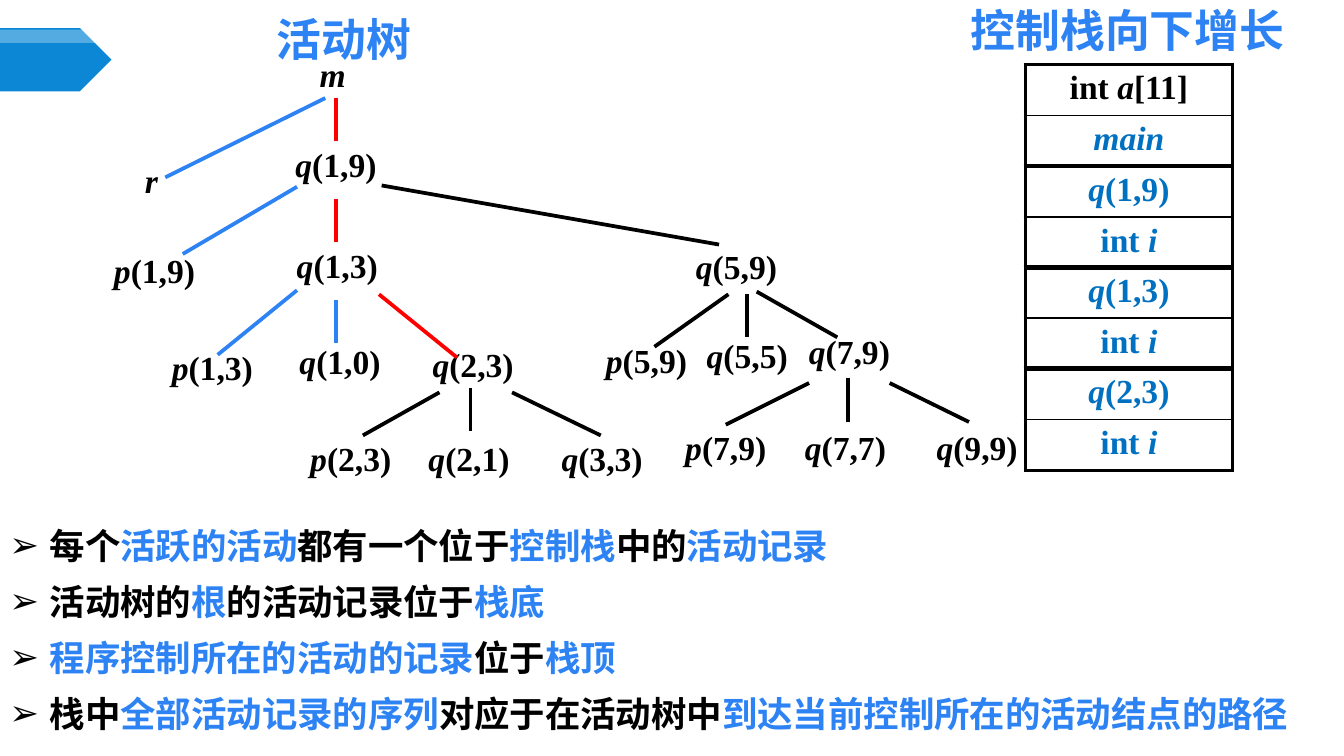
from lxml import etree
from pptx import Presentation
from pptx.dml.color import RGBColor
from pptx.enum.shapes import MSO_CONNECTOR, MSO_SHAPE
from pptx.enum.text import MSO_ANCHOR, MSO_AUTO_SIZE, PP_ALIGN
from pptx.oxml.ns import qn
from pptx.util import Inches, Pt

STRAIGHT = MSO_CONNECTOR.STRAIGHT
PENTAGON = MSO_SHAPE.PENTAGON
TOP = MSO_ANCHOR.TOP
NO_AUTOFIT = MSO_AUTO_SIZE.NONE
LEFT, CENTER = PP_ALIGN.LEFT, PP_ALIGN.CENTER

BLACK, WHITE, RED, BLUE = "000000", "FFFFFF", "FF0000", "2D83F4"
RECORD_BLUE, BANNER_BLUE = "0070C0", "0B87D6"
LATIN, CHINESE = "Times New Roman", "Noto Sans CJK SC"

TREE_TITLE = ("活动树", (1.41, 0.05, 2.3, 0.48))
STACK_TITLE = ("控制栈向下增长", (7.05, -0.02, 2.68, 0.48))

# procedure, arguments, left, top
NODES = [
    ("m", "", 2.28, 0.35),
    ("r", "", 0.98, 1.14),
    ("q", "(1,9)", 2.1, 1.02),
    ("p", "(1,9)", 0.75, 1.81),
    ("q", "(1,3)", 2.11, 1.77),
    ("q", "(5,9)", 5.08, 1.78),
    ("p", "(1,3)", 1.18, 2.53),
    ("q", "(1,0)", 2.13, 2.49),
    ("q", "(2,3)", 3.12, 2.51),
    ("p", "(5,9)", 4.41, 2.48),
    ("q", "(5,5)", 5.16, 2.44),
    ("q", "(7,9)", 5.92, 2.41),
    ("p", "(2,3)", 2.21, 3.21),
    ("q", "(2,1)", 3.09, 3.21),
    ("q", "(3,3)", 4.08, 3.21),
    ("p", "(7,9)", 5, 3.13),
    ("q", "(7,7)", 5.89, 3.13),
    ("q", "(9,9)", 6.87, 3.13),
]

# start x, start y, end x, end y
EDGES = {
    RED: [(2.5, 0.73, 2.5, 1.05), (2.5, 1.48, 2.5, 1.8), (2.82, 2.19, 3.4, 2.66)],
    BLUE: [(2.42, 0.73, 1.23, 1.32), (2.21, 1.39, 1.36, 1.89),
           (2.21, 2.16, 1.62, 2.64), (2.5, 2.23, 2.5, 2.55)],
    BLACK: [(2.84, 1.38, 5.35, 1.82),
            (3.27, 2.92, 2.7, 3.24), (3.5, 2.89, 3.5, 3.21), (3.81, 2.92, 4.47, 3.24),
            (5.42, 2.19, 4.87, 2.58), (5.56, 2.19, 5.56, 2.51), (5.63, 2.17, 6.23, 2.51),
            (6.02, 2.85, 5.4, 3.16), (6.31, 2.81, 6.31, 3.14), (6.62, 2.85, 7.21, 3.14)],
}

# Each record has two rows; each row is a list of (text, italic)
LOCAL_I = [("int ", False), ("i", True)]
RECORDS = [
    ([("int", False), (" a", True), ("[11]", False)], [("main", True)]),
    ([("q", True), ("(1,9)", False)], LOCAL_I),
    ([("q", True), ("(1,3)", False)], LOCAL_I),
    ([("q", True), ("(2,3)", False)], LOCAL_I),
]
STACK_LEFT, STACK_WIDTH, RECORD_HEIGHT = 7.63, 1.54, 0.75
FIRST_TOP, LAST_TOP = 0.48, 2.74

NOTES_BOX = (0, 3.76, 9.88, 1.76)
NOTES = [
    [("每个", BLACK), ("活跃的活动", BLUE), ("都有一个位于", BLACK), ("控制栈", BLUE),
     ("中的", BLACK), ("活动记录", BLUE)],
    [("活动树的", BLACK), ("根", BLUE), ("的活动记录位于", BLACK), ("栈底", BLUE)],
    [("程序控制所在的活动的记录", BLUE), ("位于", BLACK), ("栈顶", BLUE)],
    [("栈中", BLACK), ("全部活动记录的序列", BLUE), ("对应于在活动树中", BLACK),
     ("到达当前控制所在的活动结点的路径", BLUE)],
]


def rgb(value):
    return RGBColor.from_string(value)


def inches(values):
    return [Inches(value) for value in values]


def add_run(paragraph, text, size, color, font_name, italic=False):
    run = paragraph.add_run()
    run.text = text
    run.font.color.rgb = rgb(color)
    formats = {"size": Pt(size), "name": font_name, "bold": True, "italic": italic}
    for name, value in formats.items():
        setattr(run.font, name, value)
    latin = run.font._element.find(qn("a:latin"))
    east_asian = etree.Element(qn("a:ea"), typeface=font_name)
    latin.addnext(east_asian)


def place(shape, box):
    shape.left, shape.top, shape.width, shape.height = inches(box)


def set_frame(shape):
    """Give a text frame narrow margins, wrapping and top alignment."""
    formats = {"word_wrap": True, "auto_size": NO_AUTOFIT, "vertical_anchor": TOP,
               "margin_left": Inches(0.07), "margin_right": Inches(0.07),
               "margin_top": Inches(0.04), "margin_bottom": Inches(0.04)}
    for name, value in formats.items():
        setattr(shape.text_frame, name, value)


def write_heading(shape, text, box):
    place(shape, box)
    set_frame(shape)
    paragraph = shape.text_frame.paragraphs[0]
    paragraph.alignment = CENTER
    add_run(paragraph, text, 24, BLUE, CHINESE)


def add_banner(slide, box, color, alpha=None):
    banner = slide.shapes.add_shape(PENTAGON, *inches(box))
    banner.shadow.inherit = False
    banner.fill.solid()
    banner.fill.fore_color.rgb = rgb(color)
    banner.line.fill.background()
    if alpha:
        fill_color = banner._element.spPr.find(".//" + qn("a:srgbClr"))
        etree.SubElement(fill_color, qn("a:alpha"), val=str(alpha * 1000))


def add_node(slide, procedure, arguments, left, top):
    width, height = (0.94, 0.57) if arguments else (0.48, 0.49)
    box = slide.shapes.add_textbox(*inches((left, top, width, height)))
    box.text_frame.word_wrap = True
    paragraph = box.text_frame.paragraphs[0]
    add_run(paragraph, procedure, 18, BLACK, LATIN, italic=True)
    if arguments:
        add_run(paragraph, arguments, 18, BLACK, LATIN)


def add_edge(slide, ends, color):
    edge = slide.shapes.add_connector(STRAIGHT, *inches(ends))
    edge.line.color.rgb = rgb(color)
    edge.line.width = Pt(2)
    etree.SubElement(edge._element.spPr, qn("a:effectLst"))


def set_borders(cell, widths):
    properties = cell._tc.get_or_add_tcPr()
    for side, width in widths.items():
        border = etree.SubElement(properties, qn(f"a:ln{side}"), w=str(Pt(width)))
        fill = etree.SubElement(border, qn("a:solidFill"))
        etree.SubElement(fill, qn("a:srgbClr"), val=BLACK)


def add_record(slide, index, rows):
    top = FIRST_TOP + index * (LAST_TOP - FIRST_TOP) / (len(RECORDS) - 1)
    box = inches((STACK_LEFT, top, STACK_WIDTH, RECORD_HEIGHT))
    table = slide.shapes.add_table(len(rows), 1, *box).table
    table.first_row = table.horz_banding = False
    for row, runs in enumerate(rows):
        cell = table.cell(row, 0)
        set_borders(cell, {"L": 2.25, "R": 2.25, "T": 1 if row else 2.25,
                           "B": 2.25 if row else 1})
        cell.fill.background()
        cell.margin_left = cell.margin_right = Inches(0.08)
        cell.margin_top = cell.margin_bottom = Inches(0.04)
        paragraph = cell.text_frame.paragraphs[0]
        paragraph.alignment = CENTER
        color = BLACK if index == row == 0 else RECORD_BLUE
        for text, italic in runs:
            add_run(paragraph, text, 18, color, LATIN, italic)


def write_notes(body):
    place(body, NOTES_BOX)
    set_frame(body)
    frame = body.text_frame
    for index, parts in enumerate(NOTES):
        paragraph = frame.add_paragraph() if index else frame.paragraphs[0]
        properties = paragraph._p.get_or_add_pPr()
        properties.set("marL", str(Inches(0.3)))
        properties.set("indent", str(-Inches(0.3)))
        bullet_color = etree.SubElement(properties, qn("a:buClr"))
        etree.SubElement(bullet_color, qn("a:srgbClr"), val=BLACK)
        etree.SubElement(properties, qn("a:buChar"), char="➢")
        paragraph.alignment = LEFT
        paragraph.line_spacing = Pt(30)
        paragraph.space_before = Pt(0)
        for text, color in parts:
            add_run(paragraph, text, 19, color, CHINESE)


def main():
    presentation = Presentation()
    presentation.slide_width = Inches(10)
    presentation.slide_height = Inches(10 * 9 / 16)
    slide = presentation.slides.add_slide(presentation.slide_layouts[1])
    add_banner(slide, (0, 0.21, 0.83, 0.47), BANNER_BLUE)
    add_banner(slide, (0, 0.22, 0.83, 0.1), WHITE, alpha=30)
    write_heading(slide.shapes.title, *TREE_TITLE)
    stack_heading = slide.shapes.add_textbox(*inches(STACK_TITLE[1]))
    write_heading(stack_heading, *STACK_TITLE)
    for node in NODES:
        add_node(slide, *node)
    for color, edges in EDGES.items():
        for ends in edges:
            add_edge(slide, ends, color)
    for index, rows in enumerate(RECORDS):
        add_record(slide, index, rows)
    write_notes(slide.placeholders[1])
    presentation.save("out.pptx")


if __name__ == "__main__":
    main()
